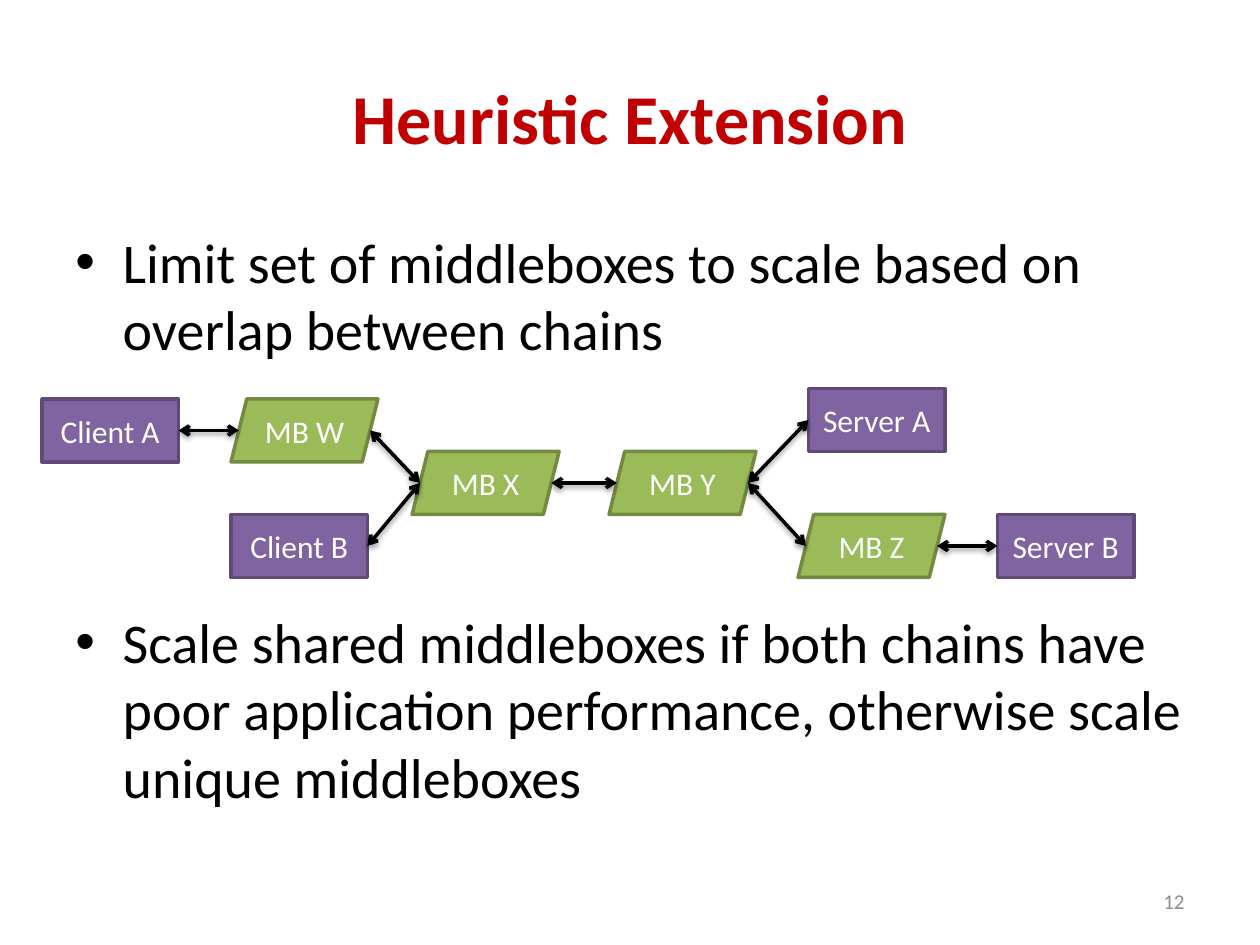
from lxml import etree
from pptx import Presentation
from pptx.dml.color import RGBColor
from pptx.enum.shapes import MSO_CONNECTOR, MSO_SHAPE
from pptx.enum.text import MSO_ANCHOR, PP_ALIGN
from pptx.oxml.ns import qn
from pptx.util import Pt

RECT = MSO_SHAPE.RECTANGLE
SLANTED = MSO_SHAPE.PARALLELOGRAM
STRAIGHT = MSO_CONNECTOR.STRAIGHT
MIDDLE, TOP = MSO_ANCHOR.MIDDLE, MSO_ANCHOR.TOP
LEFT, CENTER, RIGHT = PP_ALIGN.LEFT, PP_ALIGN.CENTER, PP_ALIGN.RIGHT

COLORS = {
    "title": "C00000",
    "text": "000000",
    "number": "8C8C8C",
    "label": "FFFFFF",
    "middlebox": "9BBB59",
    "middlebox_line": "738A42",
    "host": "8064A2",
    "host_line": "5F4A78",
    "arrow": "000000",
}
FONT = "Calibri"
NODE_HEIGHT = 36
WIDTHS = {"middlebox": 84, "host": 78}
SIDE_INSET = NODE_HEIGHT / 8
LEFT_SITE, RIGHT_SITE = 1, 3

NODES = [
    ("MB X", "middlebox", 235.5, 258),
    ("MB Y", "middlebox", 348, 258),
    ("MB Z", "middlebox", 456, 294),
    ("MB W", "middlebox", 132, 228),
    ("Client A", "host", 24, 228),
    ("Server A", "host", 462, 222),
    ("Server B", "host", 570, 294),
    ("Client B", "host", 132, 294),
]
LINKS = [
    ("Client A", "MB W"),
    ("MB W", "MB X"),
    ("MB X", "MB Y"),
    ("MB Y", "Server A"),
    ("Client B", "MB X"),
    ("MB Y", "MB Z"),
    ("MB Z", "Server B"),
]
BULLETS = [
    ("Limit set of middleboxes to scale based on overlap between chains", 0),
    ("Scale shared middleboxes if both chains have poor application "
     "performance, otherwise scale unique middleboxes", 140.5),
]


def rgb(name):
    return RGBColor.from_string(COLORS[name])


def add_run(p, text, size, color, align, bold=False):
    p.alignment = align
    r = p.add_run()
    r.text = text
    r.font.name = FONT
    r.font.size = Pt(size)
    r.font.bold = bold
    r.font.color.rgb = rgb(color)


def add_box(s, x, y, w, h, anchor):
    tf = s.shapes.add_textbox(Pt(x), Pt(y), Pt(w), Pt(h)).text_frame
    tf.word_wrap = True
    tf.vertical_anchor = anchor
    return tf


def add_bullets(s):
    tf = add_box(s, 36, 126.3, 648, 356.4, TOP)
    for i, (text, gap) in enumerate(BULLETS):
        p = tf.add_paragraph() if i else tf.paragraphs[0]
        if gap:
            p.space_before = Pt(gap)
        pPr = p._p.get_or_add_pPr()
        pPr.set("marL", str(Pt(27)))
        pPr.set("indent", str(Pt(-27)))
        etree.SubElement(pPr, qn("a:buFont")).set("typeface", "Arial")
        etree.SubElement(pPr, qn("a:buChar")).set("char", "•")
        add_run(p, text, 32, "text", LEFT)


def add_node(s, label, kind, x, y):
    preset = RECT if kind == "host" else SLANTED
    sp = s.shapes.add_shape(preset, Pt(x), Pt(y), Pt(WIDTHS[kind]), Pt(NODE_HEIGHT))
    sp.shadow.inherit = False
    sp.fill.solid()
    sp.fill.fore_color.rgb = rgb(kind)
    sp.line.color.rgb = rgb(kind + "_line")
    sp.line.width = Pt(2)
    tf = sp.text_frame
    tf.word_wrap = True
    tf.vertical_anchor = MIDDLE
    add_run(tf.paragraphs[0], label, 18, "label", CENTER)
    return sp


def side_middle(sp, site):
    inset = Pt(SIDE_INSET) if sp.auto_shape_type == SLANTED else 0
    x = sp.left + inset if site == LEFT_SITE else sp.left + sp.width - inset
    return x, sp.top + sp.height // 2


def add_shadow(spPr):
    effects = etree.SubElement(spPr, qn("a:effectLst"))
    shadow = etree.SubElement(effects, qn("a:outerShdw"), blurRad=str(Pt(3.1)),
                              dist=str(Pt(1.6)), dir="5400000", rotWithShape="0")
    color = etree.SubElement(shadow, qn("a:srgbClr"), val=COLORS["arrow"])
    etree.SubElement(color, qn("a:alpha"), val="38000")


def add_link(s, start, end):
    c = s.shapes.add_connector(STRAIGHT, *side_middle(start, RIGHT_SITE),
                               *side_middle(end, LEFT_SITE))
    if start.auto_shape_type == RECT:
        c.begin_connect(start, RIGHT_SITE)
    if end.auto_shape_type == RECT:
        c.end_connect(end, LEFT_SITE)
    c.line.color.rgb = rgb("arrow")
    c.line.width = Pt(2)
    ln = c.line._get_or_add_ln()
    for tag in ("a:headEnd", "a:tailEnd"):
        etree.SubElement(ln, qn(tag), type="arrow")
    add_shadow(c._element.spPr)


def main():
    prs = Presentation()
    prs.slide_width, prs.slide_height = Pt(720), Pt(540)
    s = prs.slides.add_slide(prs.slide_layouts[6])

    title = add_box(s, 36, 21.6, 648, 90, MIDDLE)
    add_run(title.paragraphs[0], "Heuristic Extension", 40, "title", CENTER, bold=True)
    add_bullets(s)
    number = add_box(s, 516, 500.5, 168, 28.75, MIDDLE)
    add_run(number.paragraphs[0], "12", 12, "number", RIGHT)

    nodes = {node[0]: add_node(s, *node) for node in NODES}
    for start, end in LINKS:
        add_link(s, nodes[start], nodes[end])
    prs.save("out.pptx")


if __name__ == "__main__":
    main()
